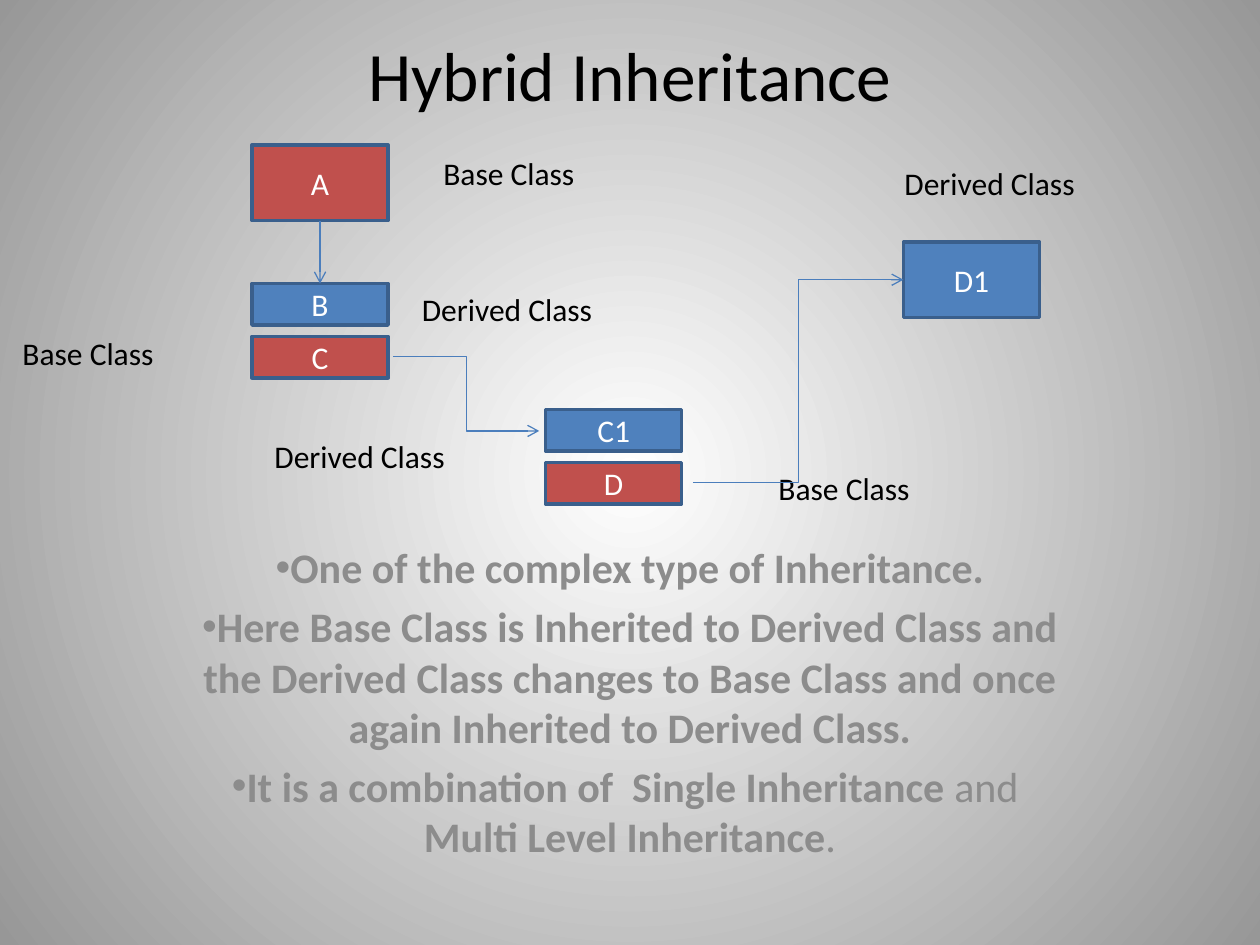
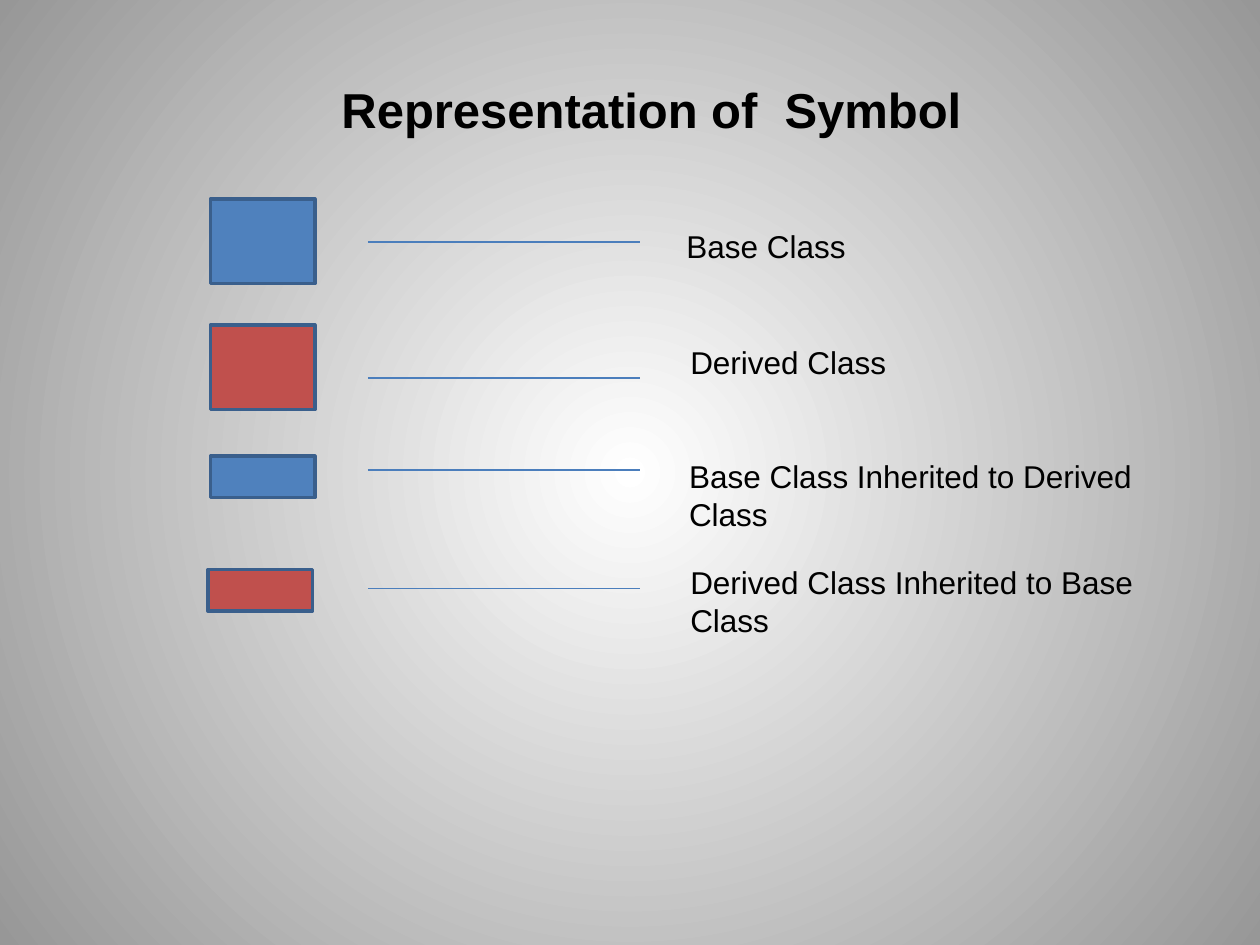
from lxml import etree
from pptx import Presentation
from pptx.dml.color import RGBColor
from pptx.enum.shapes import MSO_CONNECTOR, MSO_SHAPE
from pptx.enum.text import MSO_ANCHOR, MSO_AUTO_SIZE, PP_ALIGN
from pptx.oxml import parse_xml
from pptx.oxml.ns import qn
from pptx.util import Inches, Pt

STRAIGHT, ELBOW = MSO_CONNECTOR.STRAIGHT, MSO_CONNECTOR.ELBOW
LEFT, CENTER = PP_ALIGN.LEFT, PP_ALIGN.CENTER
MIDDLE, TOP = MSO_ANCHOR.MIDDLE, MSO_ANCHOR.TOP
FIT, NO_FIT = MSO_AUTO_SIZE.SHAPE_TO_FIT_TEXT, MSO_AUTO_SIZE.NONE

COLORS = {
    "red": "C0504D", "blue": "4F81BD", "border": "3A5F8C", "line": "4B7EBC",
    "text": "000000", "body": "8C8C8C", "white": "FFFFFF", "edge": "979797",
}

# Slide 1: classes, their labels, arrows and explanation
TALL, FLAT = 0.6, 0.33
CLASS_W = 1.08
CLASSES = [  # name, colour, left, top, height
    ("A", "red", 2, 1.15, TALL),
    ("B", "blue", 2, 2.25, FLAT),
    ("C", "red", 2, 2.67, FLAT),
    ("C1", "blue", 4.33, 3.25, FLAT),
    ("D", "red", 4.33, 3.67, FLAT),
    ("D1", "blue", 7.17, 1.92, TALL),
]
CLASS_LABELS = [
    ("Base Class", 3.42, 1.17), ("Derived Class", 3.25, 2.25),
    ("Base Class", 0.08, 2.6), ("Derived Class", 2.08, 3.42),
    ("Base Class", 6.08, 3.67), ("Derived Class", 7.08, 1.25),
]
ARROWS = [
    (STRAIGHT, (2.54, 1.75), (2.54, 2.25)),
    (ELBOW, (3.12, 2.83), (4.28, 3.42)),
    (ELBOW, (5.5, 3.83), (7.17, 2.22)),
]
POINTS = [  # runs of (text, bold)
    [("One of the complex type of Inheritance.", True)],
    [("Here Base Class is Inherited to Derived Class and the Derived Class "
      "changes to Base Class and once again Inherited to Derived Class.", True)],
    [("It is a combination of  Single Inheritance", True), (" and  ", False),
     ("Multi Level Inheritance", True), (".", False)],
]

# Slide 2: symbol (colour, left, top, height), line height, label (box, alignment)
SYMBOL_W = 0.83
LINE_X = (2.92, 5.08)
LEGEND = [
    ("blue", 1.67, 1.58, 0.67, 1.92,
     "Base Class", (4.37, 1.75, 3.42, 0.4), CENTER),
    ("red", 1.67, 2.58, 0.67, 3,
     "Derived Class", (5.38, 2.67, 2.25, 0.4), LEFT),
    ("blue", 1.67, 3.62, FLAT, 3.73,
     "Base Class Inherited to Derived Class", (5.37, 3.58, 4.08, 0.71), LEFT),
    ("red", 1.65, 4.52, FLAT, 4.67,
     "Derived Class Inherited to Base Class", (5.38, 4.42, 4.08, 0.71), LEFT),
]


def rgb(name):
    return RGBColor.from_string(COLORS[name])


def set_background(master):
    fill = master.background.fill
    fill.solid()
    gradient = parse_xml(
        '<a:gradFill xmlns:a="http://schemas.openxmlformats.org/drawingml/2006/main"'
        ' rotWithShape="1"><a:gsLst>'
        f'<a:gs pos="0"><a:srgbClr val="{COLORS["white"]}"/></a:gs>'
        f'<a:gs pos="100000"><a:srgbClr val="{COLORS["edge"]}"/></a:gs>'
        '</a:gsLst><a:path path="circle">'
        '<a:fillToRect l="50000" t="50000" r="50000" b="50000"/>'
        '</a:path></a:gradFill>')
    solid = next(master._element.iter(qn("p:bgPr"))).find(qn("a:solidFill"))
    solid.getparent().replace(solid, gradient)


def place(sp, left, top, width, height):
    sp.left, sp.top = Inches(left), Inches(top)
    sp.width, sp.height = Inches(width), Inches(height)


def style(p, size, font, color="text", bold=None, align=CENTER):
    p.alignment = align
    p.font.size, p.font.name, p.font.bold = Pt(size), font, bold
    p.font.color.rgb = rgb(color)


def add_title(s, text, box, size, font, bold=False, anchor=MIDDLE):
    sp = s.shapes.title
    place(sp, *box)
    tf = sp.text_frame
    tf.text = text
    tf.auto_size, tf.vertical_anchor = NO_FIT, anchor
    style(tf.paragraphs[0], size, font, bold=bold)


def add_box(s, color, left, top, width, height, text=""):
    sp = s.shapes.add_shape(MSO_SHAPE.RECTANGLE, Inches(left), Inches(top),
                            Inches(width), Inches(height))
    sp.shadow.inherit = False
    sp.fill.solid()
    sp.fill.fore_color.rgb = rgb(color)
    sp.line.color.rgb = rgb("border")
    sp.line.width = Pt(2)
    if text:
        tf = sp.text_frame
        tf.text = text
        tf.vertical_anchor = MIDDLE
        style(tf.paragraphs[0], 18, "Calibri", "white")


def add_label(s, text, box, font, align=LEFT):
    sp = s.shapes.add_textbox(*map(Inches, box))
    tf = sp.text_frame
    tf.word_wrap, tf.auto_size = True, FIT
    tf.text = text
    style(tf.paragraphs[0], 18, font, align=align)


def add_line(s, kind, start, end, arrow=False):
    line = s.shapes.add_connector(kind, *map(Inches, start + end))
    line.line.color.rgb = rgb("line")
    line.line.width = Pt(0.75)
    props = line._element.spPr
    if arrow:
        etree.SubElement(props.find(qn("a:ln")), qn("a:tailEnd"), type="arrow")
    etree.SubElement(props, qn("a:effectLst"))


prs = Presentation()
prs.slide_width, prs.slide_height = Inches(10), Inches(7.5)
set_background(prs.slide_master)

# Hybrid inheritance diagram
s = prs.slides.add_slide(prs.slide_layouts[0])
add_title(s, "Hybrid Inheritance", (0.75, 0.25, 8.5, 0.67), 39.6, "Calibri")

body = s.placeholders[1]
place(body, 1.5, 4.25, 7, 2.17)
tf = body.text_frame
tf.auto_size = NO_FIT
for i, runs in enumerate(POINTS):
    p = tf.add_paragraph() if i else tf.paragraphs[0]
    etree.SubElement(p._p.get_or_add_pPr(), qn("a:buChar"), char="•")
    style(p, 24, "Calibri", "body")
    for text, bold in runs:
        r = p.add_run()
        r.text, r.font.bold = text, bold

for name, color, left, top, height in CLASSES:
    add_box(s, color, left, top, CLASS_W, height, name)
for text, left, top in CLASS_LABELS:
    add_label(s, text, (left, top, 1.92, 0.4), "Calibri")
for kind, start, end in ARROWS:
    add_line(s, kind, start, end, arrow=True)

# Legend of symbols
s = prs.slides.add_slide(prs.slide_layouts[5])
add_title(s, "Representation of  Symbol", (1.67, 0.58, 7, 0.57), 28, "Arial",
          bold=True, anchor=TOP)
for color, left, top, height, line_y, text, box, align in LEGEND:
    add_box(s, color, left, top, SYMBOL_W, height)
    add_line(s, STRAIGHT, (LINE_X[0], line_y), (LINE_X[1], line_y))
    add_label(s, text, box, "Arial", align)

prs.save("out.pptx")
